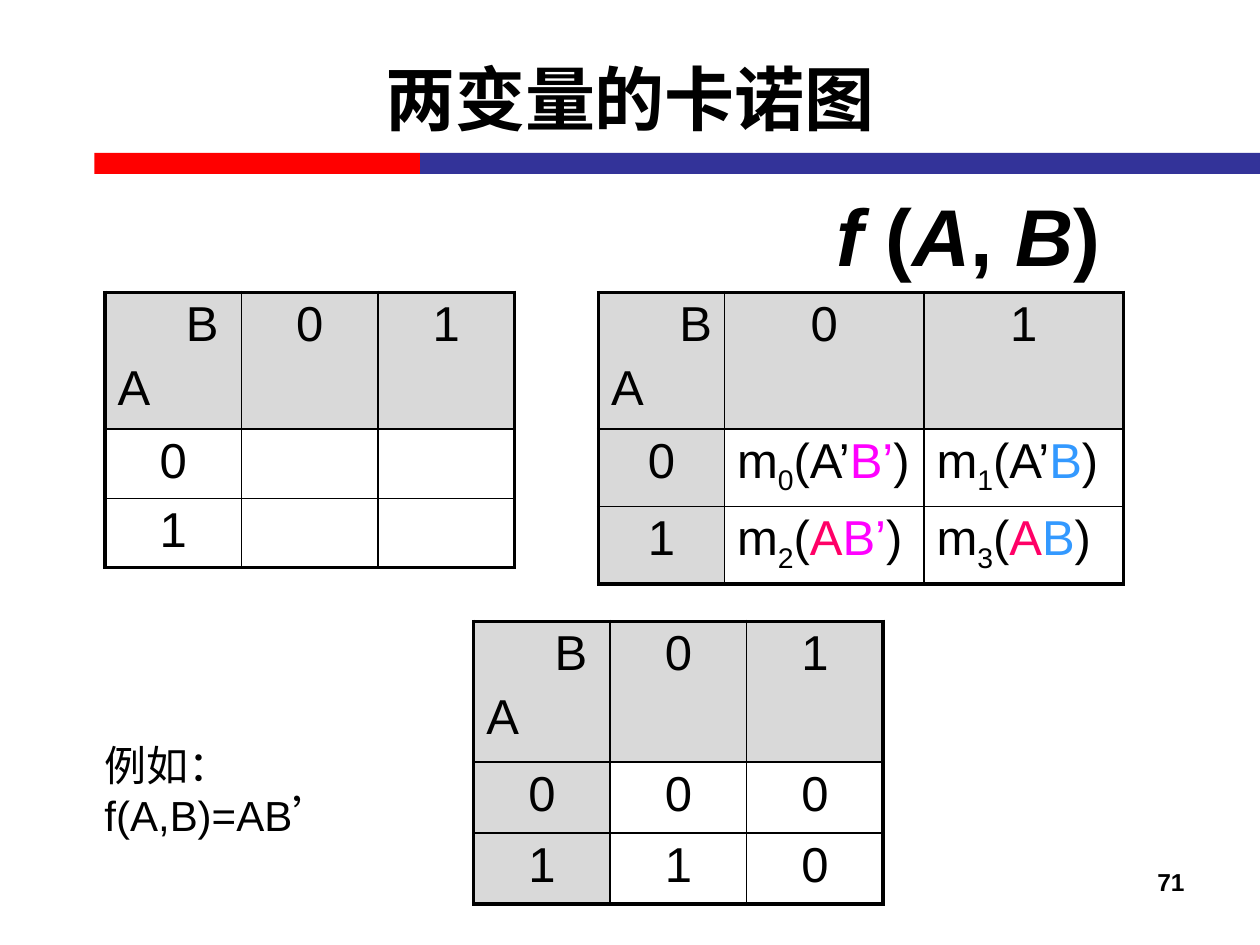
from dataclasses import dataclass

import lxml.etree
import pptx
import pptx.dml.color
import pptx.enum.shapes
import pptx.enum.text
import pptx.oxml.ns
import pptx.util

Pt = pptx.util.Pt
Align = pptx.enum.text.PP_ALIGN
Anchor = pptx.enum.text.MSO_ANCHOR
qn = pptx.oxml.ns.qn


@dataclass(frozen=True)
class Theme:
    font: str = "Arial"
    black: str = "000000"
    red: str = "FF0000"
    blue: str = "333399"
    header: str = "D9D9D9"
    not_b: str = "FF00FF"
    plain_a: str = "FF0066"
    plain_b: str = "3399FF"
    formula_size: float = 46
    title_size: float = 40
    table_size: float = 28
    example_size: float = 24
    number_size: float = 14
    outer_line: float = 2.25
    inner_line: float = 1


theme = Theme()


def style(font, size, color=theme.black, bold=None):
    font.name, font.size, font.bold = theme.font, Pt(size), bold
    font.color.rgb = pptx.dml.color.RGBColor.from_string(color)


def add_text(box, text, size, bold=None, align=Align.LEFT, anchor=Anchor.TOP):
    """Add a wrapped one-paragraph text box and return its paragraph."""
    frame = slide.shapes.add_textbox(*map(Pt, box)).text_frame
    frame.word_wrap = True
    frame.vertical_anchor = anchor
    paragraph = frame.paragraphs[0]
    paragraph.text = text
    paragraph.alignment = align
    style(paragraph.font, size, bold=bold)
    return paragraph


presentation = pptx.Presentation()
presentation.slide_width, presentation.slide_height = Pt(720), Pt(540)
slide = presentation.slides.add_slide(presentation.slide_layouts[6])

# Two-colour rule under the title
for left, width, color in [(54, 186, theme.red), (240, 480, theme.blue)]:
    bar = slide.shapes.add_shape(
        pptx.enum.shapes.MSO_SHAPE.RECTANGLE, Pt(left), Pt(87.4), Pt(width), Pt(12))
    bar.shadow.inherit = False
    bar.fill.solid()
    bar.fill.fore_color.rgb = pptx.dml.color.RGBColor.from_string(color)
    bar.line.fill.background()

add_text((36, 10.8, 648, 90), "两变量的卡诺图", theme.title_size, True,
         Align.CENTER, Anchor.MIDDLE)
add_text((516, 491.8, 168, 37.4), "71", theme.number_size, True, Align.RIGHT)
add_text((52.6, 419, 190, 64), "例如：f(A,B)=AB’", theme.example_size)

formula = add_text((471, 103, 270, 62.6), "", theme.formula_size, True)
for text, italic in [("f ", True), ("(", False), ("A", True),
                     (", ", False), ("B", True), (")", False)]:
    run = formula.add_run()
    run.text = text
    run.font.italic = italic

# Karnaugh maps: a cell is a list of (text, colour); minterms start with "m" and an index
black = theme.black
minterms = [
    [[("m", black), ("0", black), ("(A’", black), ("B’", theme.not_b), (")", black)],
     [("m", black), ("1", black), ("(A’", black), ("B", theme.plain_b), (")", black)]],
    [[("m", black), ("2", black), ("(", black), ("A", theme.plain_a),
      ("B’", theme.not_b), (")", black)],
     [("m", black), ("3", black), ("(", black), ("A", theme.plain_a),
      ("B", theme.plain_b), (")", black)]],
]
example = [[[(value, black)] for value in row] for row in ("00", "10")]
empty = [[[], []], [[], []]]

# left, top, column widths, row heights, values, whether row labels are shaded
maps = [
    (60, 167, (78, 78, 78), (75, 38.5, 38.5), empty, False),
    (342, 167, (72, 114, 114), (75, 43, 43), minterms, True),
    (270.7, 355, (78, 78, 78), (80.5, 40.6, 40.6), example, True),
]
for left, top, widths, heights, values, shaded_labels in maps:
    table = slide.shapes.add_table(
        3, 3, Pt(left), Pt(top), Pt(sum(widths)), Pt(sum(heights))).table
    table.first_row = table.horz_banding = False
    for index in range(3):
        table.columns[index].width = Pt(widths[index])
        table.rows[index].height = Pt(heights[index])

    labels = [[("0", black)], [("1", black)]]
    grid = [[[("B", black)], *labels]]
    grid += [[label, *row] for label, row in zip(labels, values)]

    for row, contents in enumerate(grid):
        for column, runs in enumerate(contents):
            cell = table.cell(row, column)
            cell.margin_top = cell.margin_bottom = Pt(3)
            properties = cell._tc.get_or_add_tcPr()
            for side, outer in [("L", column == 0), ("R", column == 2),
                                ("T", row == 0), ("B", row == 2)]:
                width = theme.outer_line if outer else theme.inner_line
                line = lxml.etree.SubElement(properties, qn("a:ln" + side), w=str(Pt(width)))
                fill = lxml.etree.SubElement(line, qn("a:solidFill"))
                lxml.etree.SubElement(fill, qn("a:srgbClr"), val=black)
            if row == 0 or (column == 0 and shaded_labels):
                cell.fill.solid()
                cell.fill.fore_color.rgb = pptx.dml.color.RGBColor.from_string(theme.header)
            else:
                cell.fill.background()

            paragraph = cell.text_frame.paragraphs[0]
            is_minterm = len(runs) > 1
            is_corner = row == column == 0
            paragraph.alignment = Align.JUSTIFY if is_minterm or is_corner else Align.CENTER
            style(paragraph.font, theme.table_size)
            for position, (text, color) in enumerate(runs):
                run = paragraph.add_run()
                run.text = text
                style(run.font, theme.table_size, color)
                if is_minterm and position == 1:
                    run._r.get_or_add_rPr().set("baseline", "-25000")
            if is_corner:
                paragraph._p.get_or_add_pPr().set("marL", str(Pt(39)))
                row_variable = cell.text_frame.add_paragraph()
                row_variable.text = "A"
                row_variable.alignment = Align.JUSTIFY
                row_variable.space_before = Pt(5)
                style(row_variable.font, theme.table_size)

presentation.save("out.pptx")
